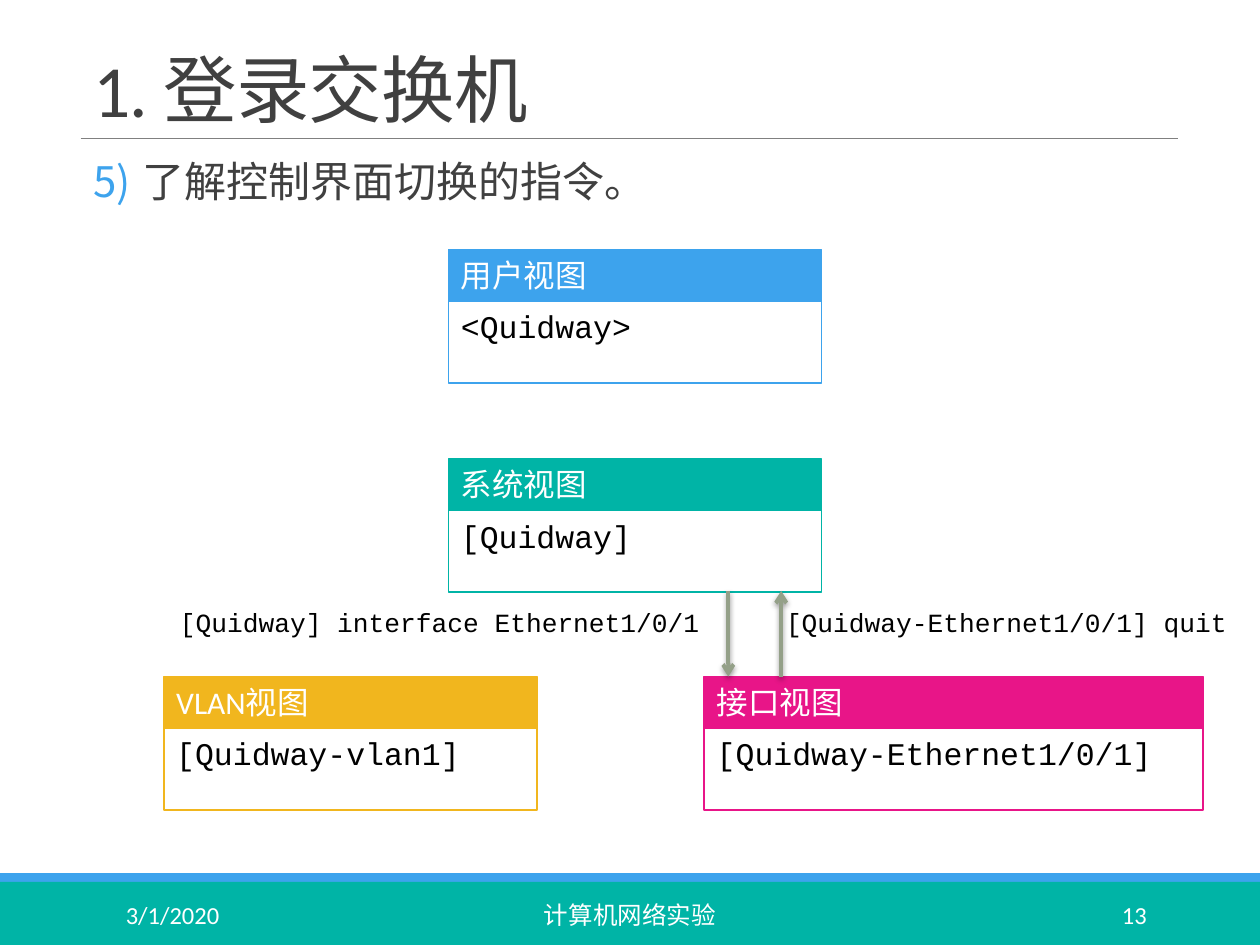
from lxml import etree
from pptx import Presentation
from pptx.dml.color import RGBColor
from pptx.enum.shapes import MSO_CONNECTOR, MSO_SHAPE
from pptx.enum.text import MSO_ANCHOR, PP_ALIGN
from pptx.oxml import parse_xml
from pptx.util import Inches, Pt

RECT, LINE = MSO_SHAPE.RECTANGLE, MSO_CONNECTOR.STRAIGHT
TOP, MID, LOW = MSO_ANCHOR.TOP, MSO_ANCHOR.MIDDLE, MSO_ANCHOR.BOTTOM
LEFT, MIDDLE, RIGHT = PP_ALIGN.LEFT, PP_ALIGN.CENTER, PP_ALIGN.RIGHT
NS = "http://schemas.openxmlformats.org/drawingml/2006/main"
SANS, MONO = "Calibri", "Courier New"
BLUE, TEAL, PINK, GOLD = "3DA3ED", "00B4A6", "E81588", "F1B61E"
WHITE, BLACK, DARK, GREY, SAGE = "FFFFFF", "000000", "404040", "808080", "94A088"

WIDE, HIGH = 10, 7.5
EDGE, SPAN = 0.64, 8.71
HEAD, BODY = 0.41, 0.65

TITLE = "1. 登录交换机"
STEP = "了解控制界面切换的指令。"
# name, prompt, colour, left, top, width
VIEWS = [
    ("用户视图", "<Quidway>", BLUE, 3.56, 1.98, 2.96),
    ("系统视图", "[Quidway]", TEAL, 3.56, 3.64, 2.96),
    ("接口视图", "[Quidway-Ethernet1/0/1]", PINK, 5.59, 5.37, 3.96),
    ("VLAN视图", "[Quidway-vlan1]", GOLD, 1.3, 5.37, 2.96),
]
# command, left, width
MOVES = [
    ("[Quidway] interface Ethernet1/0/1", 1.33, 4.46),
    ("[Quidway-Ethernet1/0/1] quit", 6.14, 3.77),
]
# x, start, end
ARROWS = [(5.78, 4.69, 5.37), (6.2, 5.37, 4.69)]
# text, left, width, alignment
FOOT = [
    ("3/1/2020", 0.9, 2.03, LEFT),
    ("计算机网络实验", 3.02, 3.96, MIDDLE),
    ("13", 8.12, 1.08, RIGHT),
]

deck = Presentation()
deck.slide_width, deck.slide_height = Inches(WIDE), Inches(HIGH)
slide = deck.slides.add_slide(deck.slide_layouts[6])


def rgb(code):
    return RGBColor.from_string(code)


def box(x, y, w, h, fill=None, edge=None):
    shape = slide.shapes.add_shape(RECT, *map(Inches, (x, y, w, h)))
    shape.shadow.inherit = False
    if fill:
        shape.fill.solid()
        shape.fill.fore_color.rgb = rgb(fill)
    else:
        shape.fill.background()
    if edge:
        shape.line.color.rgb = rgb(edge)
        shape.line.width = Pt(1)
    else:
        shape.line.fill.background()
    return shape


def write(shape, text, size, color, face=SANS, align=LEFT, anchor=TOP):
    frame = shape.text_frame
    frame.word_wrap = True
    frame.vertical_anchor = anchor
    para = frame.paragraphs[0]
    para.text = text
    para.alignment = align
    font = para.font
    font.size, font.name = Pt(size), face
    font.color.rgb = rgb(color)
    return para


def label(x, y, w, h, *args, **opts):
    area = slide.shapes.add_textbox(*map(Inches, (x, y, w, h)))
    return write(area, *args, **opts)


def rule(x1, y1, x2, y2, color, width):
    """Draw a line; return its line XML and its empty effect list."""
    line = slide.shapes.add_connector(LINE, *map(Inches, (x1, y1, x2, y2)))
    line.line.color.rgb = rgb(color)
    line.line.width = Pt(width)
    props = line._element.spPr
    effect = etree.SubElement(props, f"{{{NS}}}effectLst")
    return props.find(f"{{{NS}}}ln"), effect


def arrow(x, start, end):
    line, effect = rule(x, start, x, end, SAGE, 2.25)
    etree.SubElement(line, f"{{{NS}}}tailEnd", type="arrow")
    effect.append(parse_xml(
        f'<a:outerShdw xmlns:a="{NS}" blurRad="{Pt(3.1)}" dist="{Pt(1.6)}" '
        f'dir="5400000" rotWithShape="0"><a:srgbClr val="{BLACK}">'
        '<a:alpha val="38000"/></a:srgbClr></a:outerShdw>'))


def number(para, start, color):
    """Give the paragraph a hanging number such as 5)."""
    props = para._p.get_or_add_pPr()
    props.set("marL", str(Inches(0.49)))
    props.set("indent", str(Inches(-0.39)))
    tint = etree.SubElement(props, f"{{{NS}}}buClr")
    etree.SubElement(tint, f"{{{NS}}}srgbClr", val=color)
    etree.SubElement(props, f"{{{NS}}}buFont", typeface=SANS)
    etree.SubElement(props, f"{{{NS}}}buAutoNum", type="arabicParenR",
                     startAt=str(start))


def view(name, prompt, color, x, y, w):
    write(box(x, y, w, HEAD, color, color), name, 18, WHITE)
    label(x, y + HEAD, w, HEAD, prompt, 18, BLACK, MONO)
    box(x, y + HEAD, w, BODY, edge=color)


box(0, 6.93, WIDE, 0.07, BLUE)
box(0, 7, WIDE, 0.5, TEAL)
rule(EDGE, 1.1, EDGE + SPAN, 1.1, GREY, 0.5)

title = label(EDGE, 0.31, SPAN, 0.79, TITLE, 42, DARK, anchor=LOW)
title.line_spacing = 0.85
title.runs[0]._r.get_or_add_rPr().set("spc", "-50")

area = slide.shapes.add_textbox(*map(Inches, (EDGE, 1.23, SPAN, 5.56)))
area.text_frame.margin_left = area.text_frame.margin_right = 0
step = area.text_frame.paragraphs[0]
number(step, 5, BLUE)
write(area, STEP, 24, DARK)
step.line_spacing = 0.9
step.space_after = Pt(4)

for text, x, w, align in FOOT:
    label(x, 7.06, w, 0.4, text, 14, WHITE, align=align, anchor=MID)
for item in VIEWS:
    view(*item)
for text, x, w in MOVES:
    label(x, 4.76, w, 0.35, text, 15, BLACK, MONO)
for item in ARROWS:
    arrow(*item)

deck.save("out.pptx")
